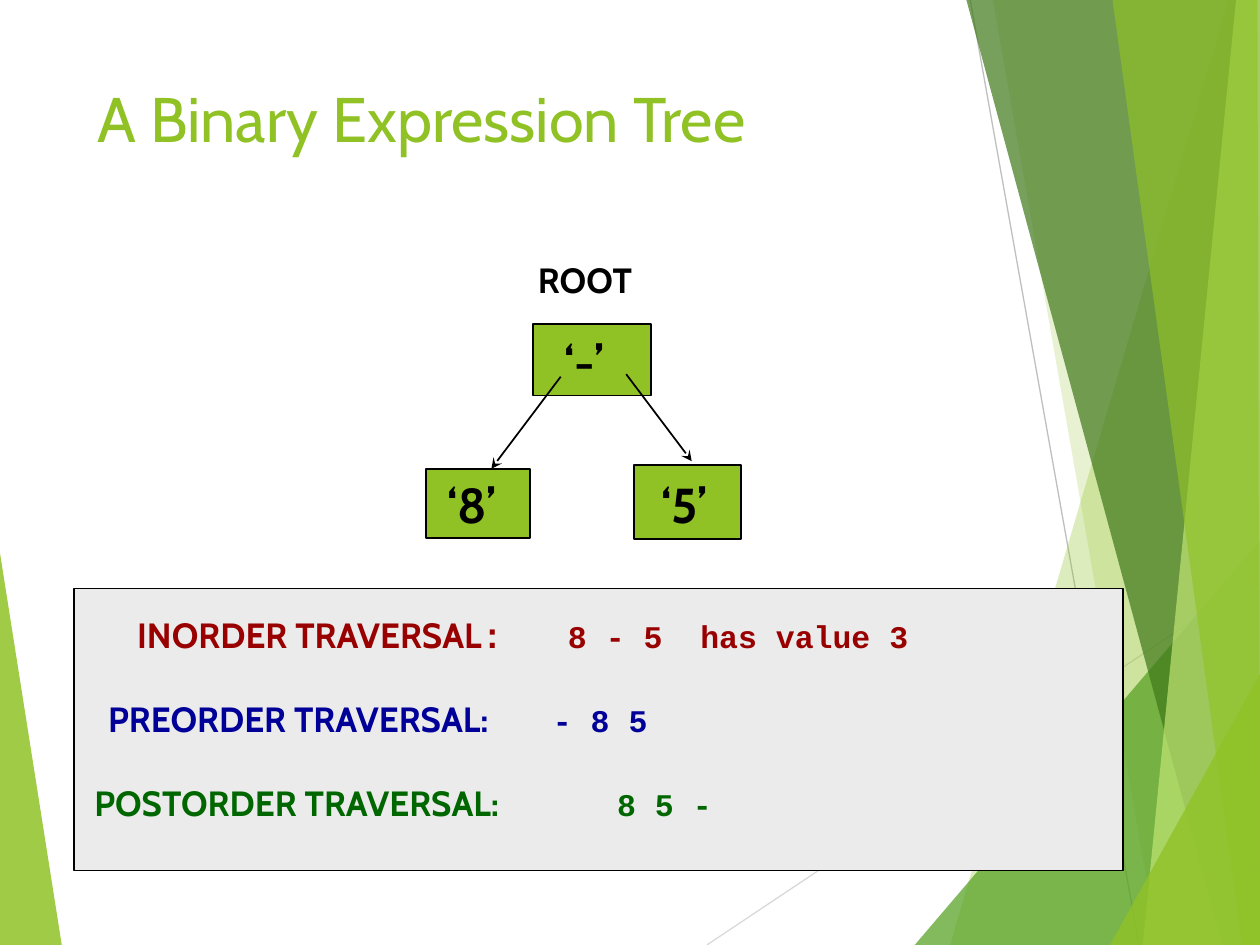
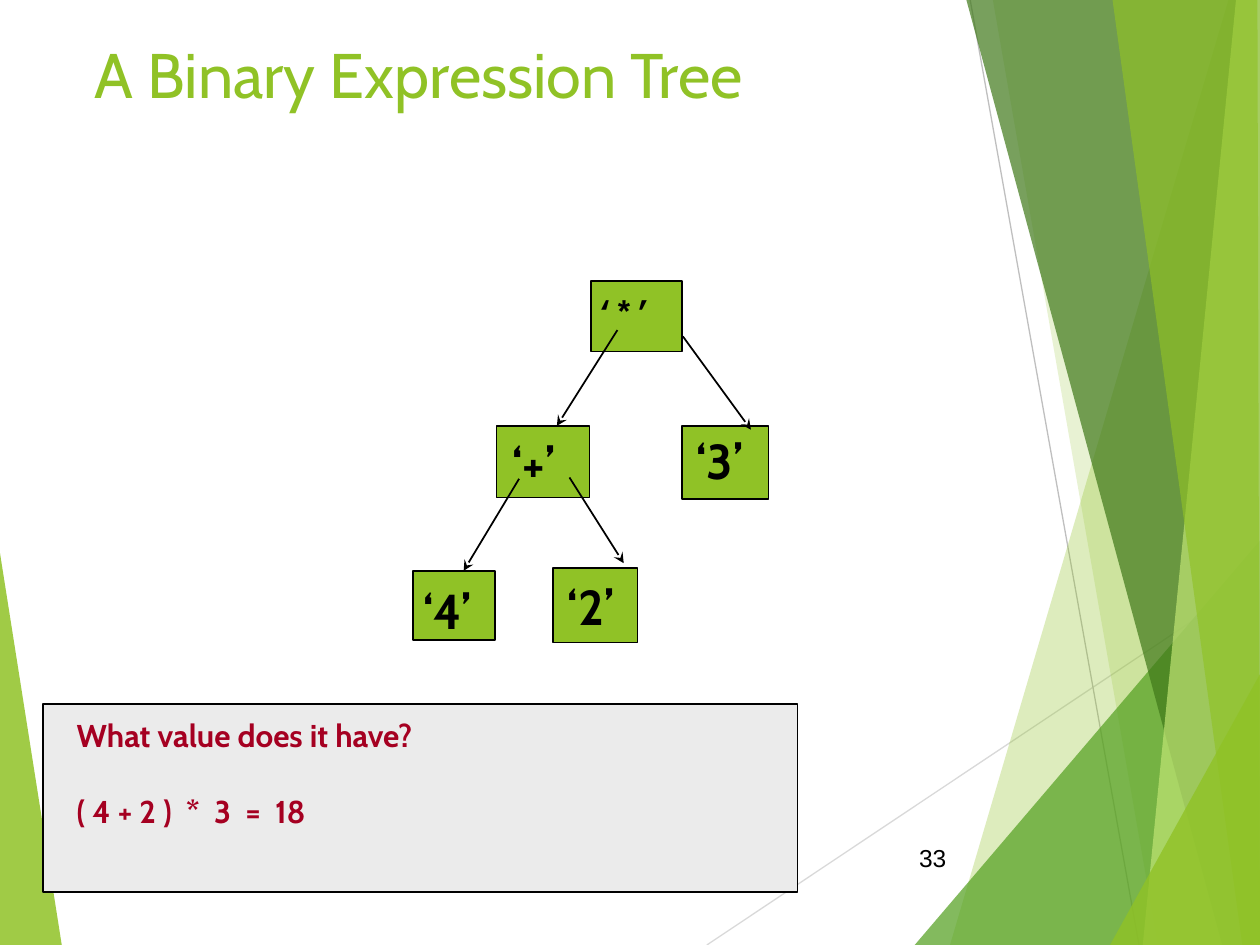
"""Build two slides on binary expression trees."""
import lxml.etree
import pptx
import pptx.dml.color
import pptx.enum.shapes
import pptx.enum.text
import pptx.oxml.ns
import pptx.util

Inches, Pt = pptx.util.Inches, pptx.util.Pt
qn, SubElement = pptx.oxml.ns.qn, lxml.etree.SubElement
RGB = pptx.dml.color.RGBColor.from_string
C = {"lime": "90C226", "green": "54A021", "forest": "3F7819", "pale": "C0E474",
     "panel": "EBEBEB", "black": "000000", "gray": "BFBFBF", "silver": "D9D9D9",
     "red": "990000", "blue": "000099", "darkgreen": "006600", "crimson": "A50021"}


def add_line(s, x1, y1, x2, y2, color, width, arrow=False):
    c = s.shapes.add_connector(pptx.enum.shapes.MSO_CONNECTOR.STRAIGHT,
                               Inches(x1), Inches(y1), Inches(x2), Inches(y2))
    c.line.color.rgb = RGB(C[color])
    c.line.width = Pt(width)
    if arrow:
        SubElement(c.line._get_or_add_ln(), qn("a:tailEnd"), type="stealth")
    SubElement(c.element.spPr, qn("a:effectLst"))
    return c


def add_text(s, box, paragraphs, bold=True, gap=0):
    tf = s.shapes.add_textbox(*map(Inches, box)).text_frame
    tf.word_wrap = True
    tf.margin_right = 0
    for i, (color, tabs, runs) in enumerate(paragraphs):
        p = tf.add_paragraph() if i else tf.paragraphs[0]
        p.space_after = Pt(gap)
        if tabs:
            stops = SubElement(p._p.get_or_add_pPr(), qn("a:tabLst"))
            for tab in tabs:
                SubElement(stops, qn("a:tab"), pos=str(Inches(tab)), algn="l")
        for text, size, font in runs:
            r = p.add_run()
            r.text = text
            r.font.size, r.font.name, r.font.bold = Pt(size), font, bold
            r.font.color.rgb = RGB(C[color])
    return tf


prs = pptx.Presentation()
prs.slide_width, prs.slide_height = Inches(10), Inches(7.5)

slides = [
    {"title": (0.67, 0.58, 8.42, 0.83),
     "panel": (0.59, 4.67, 8.32, 2.24),
     "nodes": [((4.23, 2.57, 0.94, 0.57), "‘-’", (4.38, 2.58), 28, "Cabin"),
               ((3.38, 3.72, 0.83, 0.55), "‘8’", (3.45, 3.72), 28, "Cabin"),
               ((5.03, 3.69, 0.85, 0.59), "‘5’", (5.15, 3.72), 28, "Cabin")],
     "arrows": [(4.97, 2.97, 5.49, 3.66), (4.45, 2.99, 3.9, 3.72)],
     "text": (0.65, 4.82, 8.27, 2.09), "gap": 24,
     "lines": [("red", (0.34, 3.76), [("\tINORDER TRAVERSAL", 20, "Cabin"),
                                      (":\t", 20, "Courier New"),
                                      ("8 - 5  has value 3", 18, "Courier New")]),
               ("blue", (0.11, 3.64), [("\tPREORDER TRAVERSAL:\t", 20, "Cabin"),
                                       ("- 8 5", 18, "Courier New")]),
               ("darkgreen", (4.15,), [("POSTORDER TRAVERSAL:\t", 20, "Cabin"),
                                       ("8 5 -", 18, "Courier New")])]},
    {"title": (0.65, 0.23, 8.58, 1.25),
     "panel": (0.34, 5.59, 5.99, 1.49),
     "nodes": [((4.69, 2.23, 0.72, 0.56), "‘*’", (4.63, 2.27), 18, "Courier New"),
               ((3.94, 3.38, 0.74, 0.57), "‘+’", (3.97, 3.39), 28, "Cabin"),
               ((5.41, 3.38, 0.69, 0.58), "‘3’", (5.43, 3.37), 28, "Cabin"),
               ((3.28, 4.53, 0.65, 0.55), "‘4’", (3.26, 4.56), 28, "Cabin"),
               ((4.39, 4.51, 0.67, 0.59), "‘2’", (4.41, 4.53), 28, "Cabin")],
     "arrows": [(5.42, 2.67, 5.96, 3.41), (4.52, 3.79, 4.95, 4.47),
                (4.12, 3.8, 3.68, 4.53), (4.9, 2.62, 4.42, 3.38)],
     "text": (0.51, 5.63, 4.18, 1.3), "gap": 22,
     "lines": [("crimson", (), [("What value does it have?", 18, "Cabin")]),
               ("crimson", (), [("( 4 + 2 )  *  3  =  18", 18, "Cabin")])]},
]

for d in slides:
    s = prs.slides.add_slide(prs.slide_layouts[5])
    t = s.shapes.title
    t.left, t.top, t.width, t.height = map(Inches, d["title"])
    tf = t.text_frame
    tf.vertical_anchor = pptx.enum.text.MSO_ANCHOR.TOP
    p = tf.paragraphs[0]
    p.alignment = pptx.enum.text.PP_ALIGN.LEFT
    r = p.add_run()
    r.text = "A Binary Expression Tree"
    r.font.size, r.font.name = Pt(36), "Cabin"
    r.font.color.rgb = RGB(C["lime"])

    boxes = [(d["panel"], "panel")] + [(node[0], "lime") for node in d["nodes"]]
    for box, color in boxes:
        sp = s.shapes.add_shape(pptx.enum.shapes.MSO_SHAPE.RECTANGLE, *map(Inches, box))
        sp.shadow.inherit = False
        sp.fill.solid()
        sp.fill.fore_color.rgb = RGB(C[color])
        sp.line.color.rgb = RGB(C["black"])
        sp.line.width = Pt(1)
    for arrow in d["arrows"]:
        add_line(s, *arrow, "black", 1, arrow=True)
    for box, label, (x, y), size, font in d["nodes"]:
        add_text(s, (x, y, 0.8, 0.57), [("black", (), [(label, size, font)])])
    add_text(s, d["text"], d["lines"], gap=d["gap"])

first, second = prs.slides
add_text(first, (4.17, 2, 1, 0.43), [("black", (), [("ROOT", 20, "Cabin")])])
tf = add_text(second, (7.05, 6.61, 0.56, 0.4),
              [("black", (), [("33", 14, "Arial")])], bold=False)
tf.vertical_anchor = pptx.enum.text.MSO_ANCHOR.MIDDLE
tf.margin_right = Inches(0.1)
tf.paragraphs[0].alignment = pptx.enum.text.PP_ALIGN.RIGHT

bands = [
    ("lime", 85, [(0, 4.39), (0.49, 7.5), (0, 7.5)]),
    ("lime", 30, [(9.75, 0), (7.54, 7.5), (10, 7.5), (10, 0)]),
    ("lime", 20, [(7.88, 0), (9.19, 7.5), (10, 7.5), (10, 0)]),
    ("green", 72, [(7.26, 7.5), (10, 4.29), (10, 7.5)]),
    ("forest", 70, [(7.67, 0), (9.7, 7.5), (10, 7.5), (10, 0)]),
    ("pale", 70, [(9.81, 0), (9.07, 7.5), (10, 7.5), (10, 0)]),
    ("lime", 65, [(8.83, 0), (9.86, 7.5), (10, 7.5), (9.98, 0)]),
    ("lime", 80, [(8.81, 7.5), (10, 5.35), (10, 7.5)]),
]
decor = [add_line(first, 5.61, 7.5, 10, 4.57, "silver", 0.75),
         add_line(first, 7.7, 0, 9.04, 7.5, "gray", 0.75)]
for color, opacity, points in bands:
    start, *rest = [(Inches(x), Inches(y)) for x, y in points]
    builder = first.shapes.build_freeform(*start)
    builder.add_line_segments(rest, close=True)
    sp = builder.convert_to_shape()
    sp.shadow.inherit = False
    sp.fill.solid()
    sp.fill.fore_color.rgb = RGB(C[color])
    sp.line.fill.background()
    rgb = sp.element.spPr.find(".//" + qn("a:srgbClr"))
    SubElement(rgb, qn("a:alpha"), val=str(opacity * 1000))
    decor.append(sp)

tree = prs.slide_master.shapes.element
for i, sp in enumerate(decor, start=2):
    tree.insert(i, sp.element)

prs.save("out.pptx")
